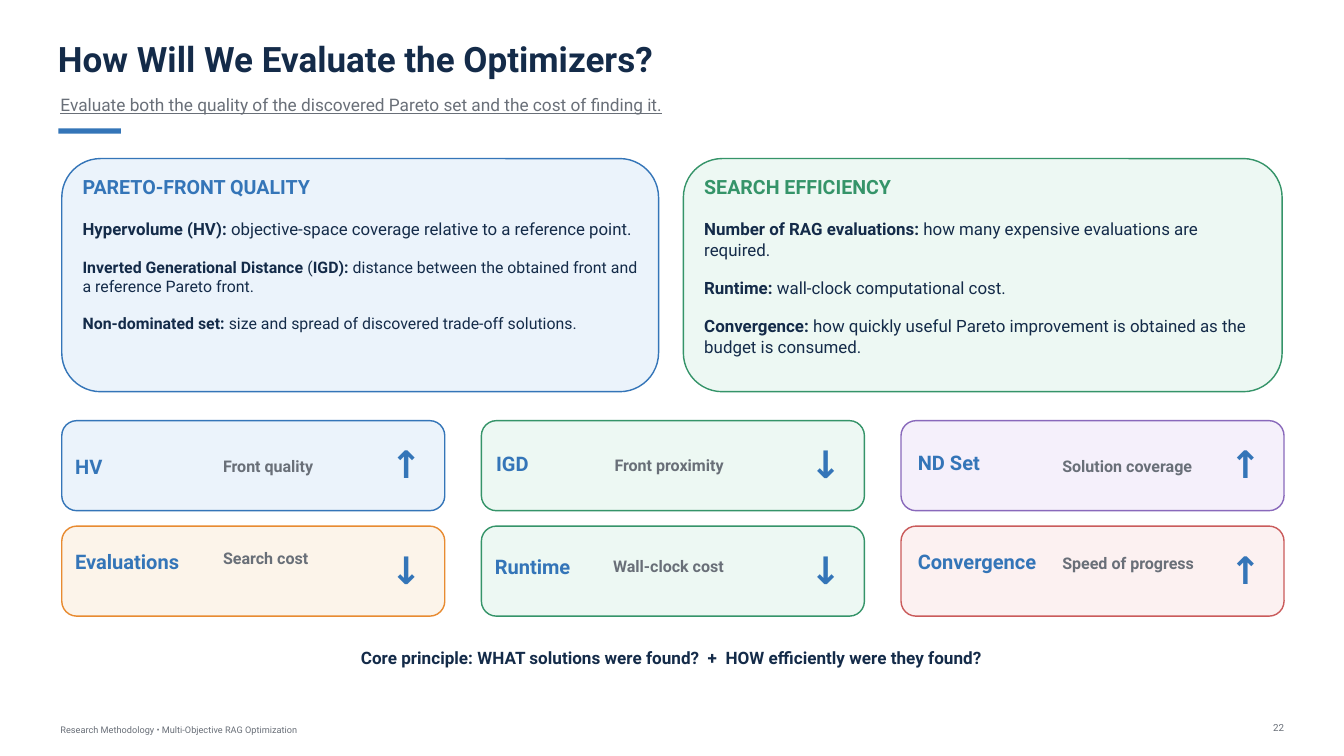
from pptx import Presentation
from pptx import util as u
from pptx.dml.color import RGBColor
from pptx.enum import shapes, text
from pptx.oxml.xmlchemy import OxmlElement

THEME = {
    "font": "Roboto",
    "leading": 1.2,
    "outline": 1.5,
    "color": {"ink": "142B49", "muted": "696F78", "blue": "3475B8",
              "green": "359469", "purple": "8969BB", "orange": "E88B31", "red": "CA5B5B"},
    "tint": {"blue": "EBF3FB", "green": "EDF8F3", "purple": "F5F0FB",
             "orange": "FCF4EA", "red": "FCF1F1"},
    "size": {"title": 37.5, "subtitle": 18.5, "heading": 21, "label": 21.5,
             "note": 17.2, "arrow": 40.5, "principle": 18.3, "footer": 9.8, "page": 10.5},
}

TITLE = "How Will We Evaluate the Optimizers?"
SUBTITLE = "Evaluate both the quality of the discovered Pareto set and the cost of finding it."
PRINCIPLE = "Core principle: WHAT solutions were found?  +  HOW efficiently were they found?"
FOOTER = "Research Methodology • Multi-Objective RAG Optimization"
PAGE = "22"

CARDS = [
    {"heading": "PARETO-FRONT QUALITY", "color": "blue", "left": 66.2, "width": 639.4,
     "items": [
         (18, [("Hypervolume (HV):", True),
               (" objective-space coverage relative to a reference point.", False)]),
         (17, [("Inverted Generational Distance", True), (" (", False), ("IGD):", True),
               (" distance between the obtained front and a reference Pareto front.", False)]),
         (17, [("Non-dominated set:", True),
               (" size and spread of discovered trade-off solutions.", False)]),
     ]},
    {"heading": "SEARCH EFFICIENCY", "color": "green", "left": 732.2, "width": 641.5,
     "items": [
         (18.1, [("Number of RAG evaluations:", True),
                 (" how many expensive evaluations are required.", False)]),
         (18.1, [("Runtime:", True), (" wall-clock computational cost.", False)]),
         (18.1, [("Convergence:", True),
                 (" how quickly useful Pareto improvement is obtained as the budget is consumed.",
                  False)]),
     ]},
]

# label, note, arrow, colour, label offset, note offset
TILES = [
    ("HV", "Front quality", "↑", "blue", (14.4, 36.7), (172.8, 38.2)),
    ("IGD", "Front proximity", "↓", "green", (15.8, 33.1), (142.6, 37.4)),
    ("ND Set", "Solution coverage", "↑", "purple", (18, 32.4), (172.8, 38.2)),
    ("Evaluations", "Search cost", "↓", "orange", (14.4, 24.5), (172.8, 23.8)),
    ("Runtime", "Wall-clock cost", "↓", "green", (14.4, 30.2), (141.1, 32.4)),
    ("Convergence", "Speed of progress", "↑", "red", (18, 24.5), (172.8, 29.5)),
]

CARD_TOP, CARD_HEIGHT, CARD_INSET = 169.9, 249.8, 22.3
ITEM_GAP = 19.3
TILE_COLUMNS, TILE_LEFT, TILE_TOP = 3, 66.2, 450.7
TILE_WIDTH, TILE_HEIGHT = 410.4, 96.5
TILE_PITCH_X, TILE_PITCH_Y = 449.6, 113
ARROW_OFFSET = (352, 22)


def rgb(name, group="color"):
    return RGBColor.from_string(THEME[group][name])


def place(shape, left, top, width, height):
    shape.left, shape.top = u.Pt(left), u.Pt(top)
    shape.width, shape.height = u.Pt(width), u.Pt(height)


def prepare(shape):
    frame = shape.text_frame
    frame.word_wrap = True
    frame.auto_size = text.MSO_AUTO_SIZE.NONE
    frame.vertical_anchor = text.MSO_ANCHOR.TOP
    frame.margin_left = frame.margin_right = frame.margin_top = frame.margin_bottom = 0
    return frame


def write(paragraph, runs, size, color, align=text.PP_ALIGN.LEFT, underline=None, before=0):
    paragraph.alignment = align
    paragraph.line_spacing = u.Pt(round(size * THEME["leading"], 1))
    paragraph.space_before = u.Pt(before)
    paragraph.space_after = u.Pt(0)
    for content, bold in runs:
        run = paragraph.add_run()
        run.text = content
        font = run.font
        font.name, font.size, font.bold = THEME["font"], u.Pt(size), bold
        font.underline = underline
        font.color.rgb = rgb(color)


def add_text(slide, content, box, role, color, bold=False, **style):
    shape = slide.shapes.add_textbox(*[u.Pt(value) for value in box])
    write(prepare(shape).paragraphs[0], [(content, bold)], THEME["size"][role], color, **style)


def add_panel(slide, color, *box):
    shape = slide.shapes.add_shape(shapes.MSO_SHAPE.ROUNDED_RECTANGLE,
                                   *[u.Pt(value) for value in box])
    shape.shadow.inherit = False
    shape.fill.solid()
    shape.fill.fore_color.rgb = rgb(color, "tint")
    shape.line.color.rgb = rgb(color)
    shape.line.width = u.Pt(THEME["outline"])


def add_card(slide, card, body):
    left, width, color = card["left"], card["width"], card["color"]
    add_panel(slide, color, left, CARD_TOP, width, CARD_HEIGHT)
    text_left, text_width = left + CARD_INSET, width - 2 * CARD_INSET
    add_text(slide, card["heading"], (text_left, 187.2, text_width, 35), "heading", color, True)
    body.element.getparent().append(body.element)
    place(body, text_left, 234.7, text_width, 150)
    frame = prepare(body)
    for index, (size, runs) in enumerate(card["items"]):
        paragraph = frame.add_paragraph() if index else frame.paragraphs[0]
        properties = paragraph._p.get_or_add_pPr()
        properties.set("marL", "0")
        properties.set("indent", "0")
        properties.append(OxmlElement("a:buNone"))
        write(paragraph, runs, size, "ink", before=ITEM_GAP if index else 0)


def add_tile(slide, index, tile):
    label, note, arrow, color, label_offset, note_offset = tile
    row, column = divmod(index, TILE_COLUMNS)
    left, top = TILE_LEFT + column * TILE_PITCH_X, TILE_TOP + row * TILE_PITCH_Y
    add_panel(slide, color, left, top, TILE_WIDTH, TILE_HEIGHT)

    def box(offset, width, height):
        return left + offset[0], top + offset[1], width, height

    add_text(slide, label, box(label_offset, 130, 24.5), "label", "blue", True)
    add_text(slide, note, box(note_offset, 179, 20), "note", "muted", True)
    add_text(slide, arrow, box(ARROW_OFFSET, 28, 47.5), "arrow", "blue", True,
             align=text.PP_ALIGN.CENTER)


def main():
    presentation = Presentation()
    presentation.slide_width, presentation.slide_height = u.Pt(1440), u.Pt(810)
    slide = presentation.slides.add_slide(presentation.slide_layouts[3])
    title, *bodies = slide.placeholders

    place(title, 62, 40.3, 1228, 50)
    write(prepare(title).paragraphs[0], [(TITLE, True)], THEME["size"]["title"], "ink")
    add_text(slide, SUBTITLE, (64.8, 101.5, 1249, 22), "subtitle", "muted", underline=True)

    accent = slide.shapes.add_shape(shapes.MSO_SHAPE.RECTANGLE, u.Pt(62.6), u.Pt(137.5),
                                    u.Pt(67), u.Pt(5.8))
    accent.shadow.inherit = False
    accent.fill.solid()
    accent.fill.fore_color.rgb = rgb("blue")
    accent.line.fill.background()

    for card, body in zip(CARDS, bodies):
        add_card(slide, card, body)
    for index, tile in enumerate(TILES):
        add_tile(slide, index, tile)

    add_text(slide, PRINCIPLE, (69, 693.4, 1301, 32.4), "principle", "ink", True,
             align=text.PP_ALIGN.CENTER)
    add_text(slide, FOOTER, (64.8, 776.2, 504, 15), "footer", "muted")
    add_text(slide, PAGE, (1320.5, 773.3, 55.4, 18), "page", "muted",
             align=text.PP_ALIGN.RIGHT)
    presentation.save("out.pptx")


if __name__ == "__main__":
    main()
